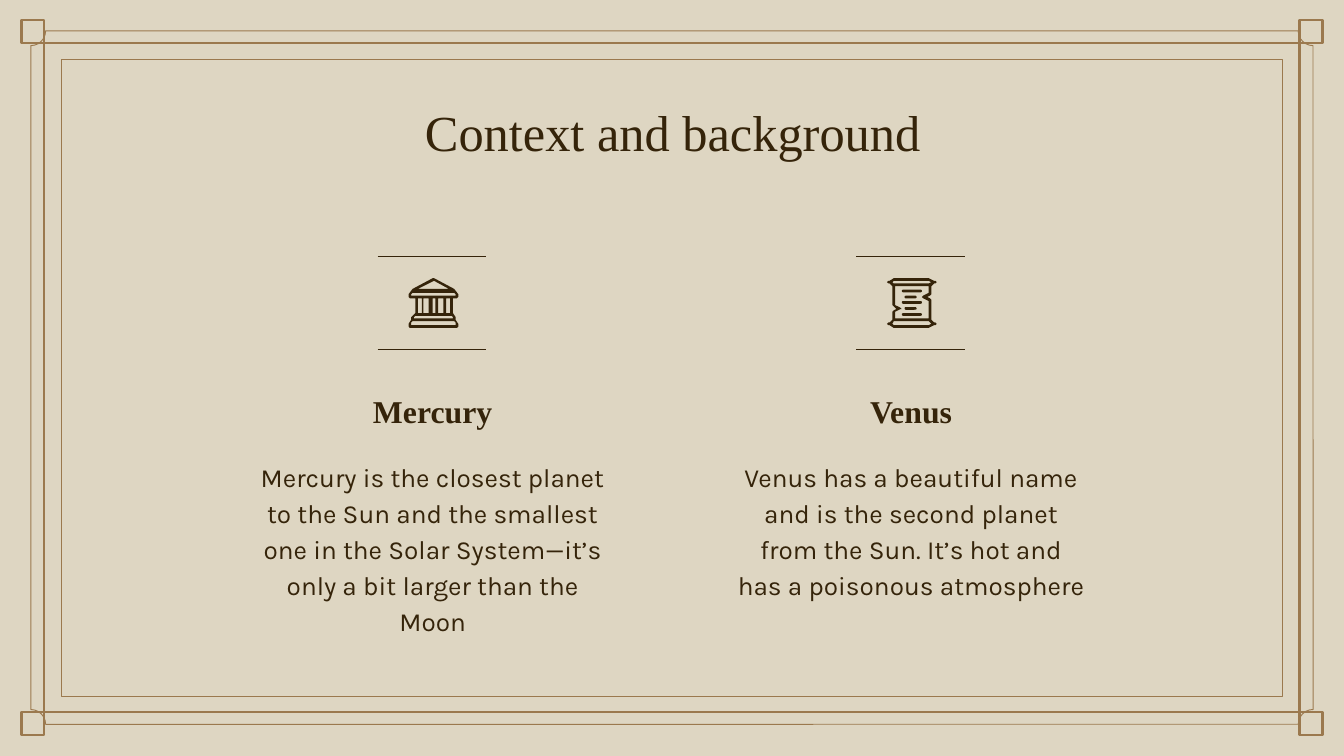
from pptx import Presentation
from pptx.dml.color import RGBColor
from pptx.enum import shapes, text
from pptx.oxml.ns import qn
from pptx.util import Inches, Pt

INK = {"paper": "DED6C2", "frame": "9B794E", "dark": "35240A"}
SERIF, SANS = "Times New Roman", "Karla"
TITLE = "Context and background"


def box(l, t, r, b):
    return [(l, t), (r, t), (r, b), (l, b)]


TEMPLE = [
    [(19, 0), (18, 0), (3, 8), (0, 12), (0, 14), (1, 15), (5, 15), (5, 26),
     (2, 29), (2, 31), (0, 34), (0, 36), (1, 37), (36, 37), (37, 36), (37, 34),
     (35, 31), (35, 29), (33, 26), (33, 15), (36, 15), (37, 14), (37, 12), (34, 8)],
    [(19, 2), (30, 8), (7, 8)],
    [(3, 11), (34, 11), (35, 12), (35, 13), (2, 13), (2, 12)],
    [(5, 28), (32, 28), (33, 29), (33, 30), (4, 30), (4, 29)],
    [(3, 32), (34, 32), (35, 33), (35, 35), (2, 35), (2, 33)],
] + [box(l, 15, r, 26) for l, r in [(7, 9.5), (11, 15), (17.5, 20), (22, 26), (28.5, 31)]]

SCROLL = [
    [(5, 0), (2, 2), (1, 2), (0, 3), (1, 4), (2, 4), (4, 6), (4, 20), (5, 21),
     (7, 23), (5, 24), (4, 25), (4, 31), (2, 33), (1, 33), (0, 34), (1, 35),
     (2, 35), (5, 37), (31, 37), (35, 35), (36, 35), (37, 34), (36, 33), (35, 33),
     (33, 31), (33, 16), (32, 15), (30, 14), (32, 13), (33, 12), (33, 6), (35, 4),
     (36, 4), (37, 3), (36, 2), (35, 2), (31, 0)],
    [(5, 2), (31, 2), (33, 3), (31, 4), (5, 4), (4, 3)],
    [(6, 6), (31, 6), (31, 11), (27, 13), (26, 14), (27, 15), (31, 17), (31, 30),
     (6, 30), (6, 25), (10, 23), (11, 23), (10, 22), (6, 20)],
    [(5, 32), (31, 32), (33, 33.5), (31, 35), (5, 35), (4, 33.5)],
]
ROWS = [(11, 8.5, 15), (13, 13, 9), (11, 17, 15), (13, 21.5, 9), (11, 26, 15)]

PLANETS = [
    (1.82, "Mercury", "Mercury is the closest planet to the Sun and the smallest one in the "
     "Solar System—it’s only a bit larger than the Moon", TEMPLE, []),
    (5.38, "Venus", "Venus has a beautiful name and is the second planet from the Sun. "
     "It’s hot and has a poisonous atmosphere", SCROLL, ROWS),
]


def tint(name):
    return RGBColor.from_string(INK[name])


def place(shape, left, top, width, height):
    shape.left, shape.top = Inches(left), Inches(top)
    shape.width, shape.height = Inches(width), Inches(height)


def write(shape, words, size, font, bold=False, space=1.0, anchor=text.MSO_ANCHOR.TOP):
    frame = shape.text_frame
    frame.text = words
    frame.word_wrap = True
    frame.auto_size = text.MSO_AUTO_SIZE.NONE
    frame.vertical_anchor = anchor
    frame.margin_left = frame.margin_right = Inches(0.1)
    frame.margin_top = frame.margin_bottom = Inches(0.1)
    para = frame.paragraphs[0]
    para.alignment = text.PP_ALIGN.CENTER
    para.line_spacing = space
    para.font.size, para.font.name, para.font.bold = Pt(size), font, bold
    para.font.color.rgb = tint("dark")


def label(left, top, width, height, *args, **opts):
    area = slide.shapes.add_textbox(*map(Inches, (left, top, width, height)))
    write(area, *args, **opts)


def border(kind, left, top, width, height, weight):
    shape = slide.shapes.add_shape(kind, *map(Inches, (left, top, width, height)))
    shape.shadow.inherit = False
    shape.fill.background()
    shape.line.color.rgb = tint("frame")
    shape.line.width = Pt(weight)
    return shape


def solid(shape):
    shape.shadow.inherit = False
    shape.fill.solid()
    shape.fill.fore_color.rgb = tint("dark")
    shape.line.fill.background()


def icon(left, top, loops):
    pen = slide.shapes.build_freeform(*loops[0][0], scale=Inches(0.01))
    pen.add_line_segments(loops[0][1:])
    for loop in loops[1:]:
        pen.move_to(*loop[0])
        pen.add_line_segments(loop[1:])
    solid(pen.convert_to_shape(Inches(left), Inches(top)))


def rule(left, top, width):
    line = slide.shapes.add_connector(
        shapes.MSO_CONNECTOR.STRAIGHT, *map(Inches, (left, top, left + width, top)))
    line.line.color.rgb = tint("dark")
    line.line.width = Pt(0.75)
    props = line.element.spPr
    props.append(props.makeelement(qn("a:effectLst"), {}))


deck = Presentation()
deck.slide_width = Inches(10)
deck.slide_height = deck.slide_width * 9 // 16
slide = deck.slides.add_slide(deck.slide_layouts[5])
slide.background.fill.solid()
slide.background.fill.fore_color.rgb = tint("paper")

RECT = shapes.MSO_SHAPE.RECTANGLE
for left in (0.16, 9.67):
    for top in (0.15, 5.3):
        border(RECT, left, top, 0.17, 0.17, 1.28)
border(RECT, 0.33, 0.32, 9.34, 4.98, 1.28)
border(RECT, 0.46, 0.44, 9.08, 4.74, 0.5)
plaque = border(shapes.MSO_SHAPE.PLAQUE, 0.23, 0.23, 9.54, 5.16, 0.5)
plaque.adjustments[0] = 0.11 / 5.16

title = slide.shapes.title
place(title, 0.79, 0.65, 8.43, 0.63)
write(title, TITLE, 27, SERIF)

WIDE = 2.8
for left, name, about, loops, rows in PLANETS:
    mid = left + WIDE / 2
    edge = mid - 0.18
    label(left, 2.69, WIDE, 0.61, name, 17, SERIF, bold=True, space=1.15,
          anchor=text.MSO_ANCHOR.BOTTOM)
    label(left, 3.3, WIDE, 1.29, about, 14, SANS, space=1.15)
    icon(edge, 2.07, loops)
    for x, y, width in rows:
        bar = slide.shapes.add_shape(
            shapes.MSO_SHAPE.ROUNDED_RECTANGLE, Inches(edge + x / 100),
            Inches(2.07 + y / 100), Inches(width / 100), Inches(0.02))
        bar.adjustments[0] = 0.5
        solid(bar)
    for top in (1.91, 2.6):
        rule(mid - 0.41, top, 0.81)

deck.save("out.pptx")
